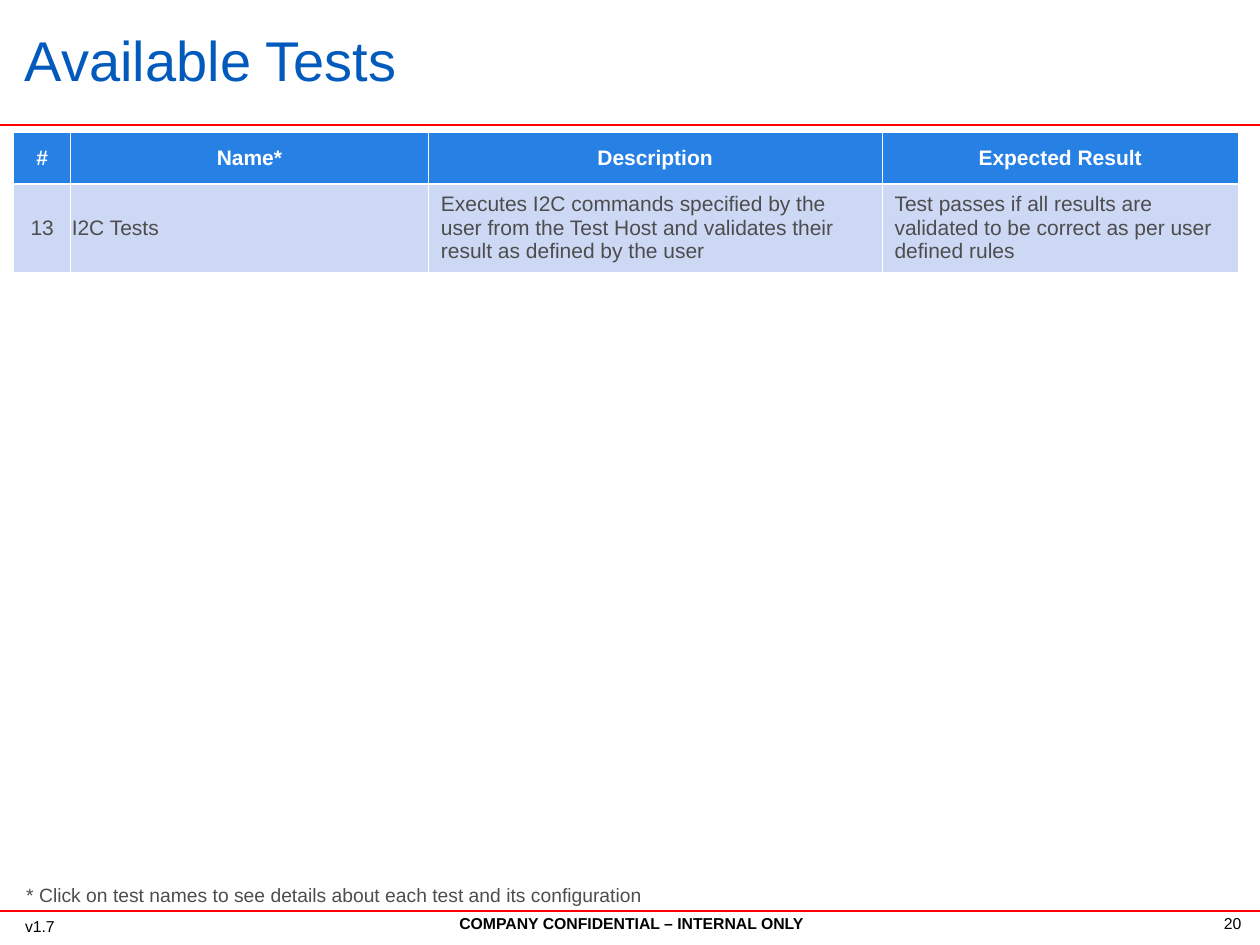
from pptx import Presentation
from pptx.dml.color import RGBColor
from pptx.enum.shapes import MSO_CONNECTOR
from pptx.enum.text import MSO_ANCHOR, MSO_AUTO_SIZE, PP_ALIGN
from pptx.oxml.ns import qn
from pptx.util import Inches, Pt
from lxml import etree

LEFT, CENTER, RIGHT = PP_ALIGN.LEFT, PP_ALIGN.CENTER, PP_ALIGN.RIGHT
TOP, MIDDLE = MSO_ANCHOR.TOP, MSO_ANCHOR.MIDDLE
FIT_SHAPE = MSO_AUTO_SIZE.SHAPE_TO_FIT_TEXT
STRAIGHT = MSO_CONNECTOR.STRAIGHT

BLACK = RGBColor(0x00, 0x00, 0x00)
WHITE = RGBColor(0xFF, 0xFF, 0xFF)
RED = RGBColor(0xFF, 0x00, 0x00)
TITLE_BLUE = RGBColor(0x02, 0x5B, 0xBC)
HEADER_BLUE = RGBColor(0x27, 0x81, 0xE5)
ROW_BLUE = RGBColor(0xCD, 0xD8, 0xF5)
GRAY = RGBColor(0x4D, 0x4D, 0x4D)

FONT = "Arial"
THIN, THICK = 0.45, 1.47
COLUMN_WIDTHS = (0.45, 2.84, 3.6, 2.83)
ROW_HEIGHTS = (0.41, 0.7)
HEADERS = ("#", "Name*", "Description", "Expected Result")
TEST = (
    "13",
    "I2C Tests",
    "Executes I2C commands specified by the user from the Test Host "
    "and validates their result as defined by the user",
    "Test passes if all results are validated to be correct as per user defined rules",
)


def write(text_frame, text, size, color, bold=False, align=LEFT):
    paragraph = text_frame.paragraphs[0]
    paragraph.alignment = align
    run = paragraph.add_run()
    run.text = text
    run.font.name = FONT
    run.font.size = Pt(size)
    run.font.bold = bold
    run.font.color.rgb = color
    return paragraph


def add_text(slide, box, text, size, color, bold=False, align=LEFT, anchor=TOP, wrap=True):
    text_box = slide.shapes.add_textbox(*map(Inches, box))
    text_frame = text_box.text_frame
    text_frame.word_wrap = wrap
    text_frame.auto_size = FIT_SHAPE
    text_frame.vertical_anchor = anchor
    return write(text_frame, text, size, color, bold, align)


def add_rule(slide, top):
    rule = slide.shapes.add_connector(STRAIGHT, Inches(0), Inches(top), Inches(10), Inches(top))
    rule.line.color.rgb = RED
    rule.line.width = Pt(1.25)
    etree.SubElement(rule.element.spPr, qn("a:effectLst"))


def set_borders(cell, top, bottom):
    properties = cell._tc.get_or_add_tcPr()
    for side, width in (("L", THIN), ("R", THIN), ("T", top), ("B", bottom)):
        border = etree.SubElement(properties, qn(f"a:ln{side}"), w=str(Pt(width)))
        fill = etree.SubElement(border, qn("a:solidFill"))
        etree.SubElement(fill, qn("a:srgbClr"), val=str(WHITE))


def fill_cell(cell, text, fill, color, bold, align, top, bottom):
    set_borders(cell, top, bottom)
    cell.fill.solid()
    cell.fill.fore_color.rgb = fill
    cell.vertical_anchor = MIDDLE
    write(cell.text_frame, text, 12, color, bold, align)


def add_test_table(slide):
    table = slide.shapes.add_table(
        len(ROW_HEIGHTS), len(COLUMN_WIDTHS), Inches(0.11), Inches(1.05),
        Inches(sum(COLUMN_WIDTHS)), Inches(sum(ROW_HEIGHTS)),
    ).table
    for row, height in zip(table.rows, ROW_HEIGHTS):
        row.height = Inches(height)
    for index, width in enumerate(COLUMN_WIDTHS):
        table.columns[index].width = Inches(width)
        fill_cell(table.cell(0, index), HEADERS[index], HEADER_BLUE, WHITE, True, CENTER, THIN, THICK)
        align = CENTER if index == 0 else LEFT
        fill_cell(table.cell(1, index), TEST[index], ROW_BLUE, GRAY, False, align, THICK, THIN)
    name_cell = table.cell(1, 1)
    name_cell.margin_left = name_cell.margin_right = Inches(0.01)


def main():
    presentation = Presentation()
    presentation.slide_width = Inches(10)
    presentation.slide_height = Inches(7.5)
    slide = presentation.slides.add_slide(presentation.slide_layouts[6])

    add_text(slide, (2.45, 7.2, 5.12, 0.25), "COMPANY CONFIDENTIAL – INTERNAL ONLY", 9, BLACK, True, CENTER)
    add_text(slide, (9.16, 7.2, 0.79, 0.25), "20", 9, BLACK, align=RIGHT)
    for top in (0.99, 7.23):
        add_rule(slide, top)
    add_text(slide, (0.1, 7.23, 0.79, 0.25), "v1.7", 9, BLACK)

    title = add_text(slide, (0.1, 0.26, 8.04, 0.52), "Available Tests", 32, TITLE_BLUE, anchor=MIDDLE)
    title.line_spacing = 0.79
    add_test_table(slide)
    add_text(
        slide, (0.11, 6.96, 5.09, 0.29),
        "* Click on test names to see details about each test and its configuration",
        11, GRAY, wrap=False,
    )
    presentation.save("out.pptx")


if __name__ == "__main__":
    main()
